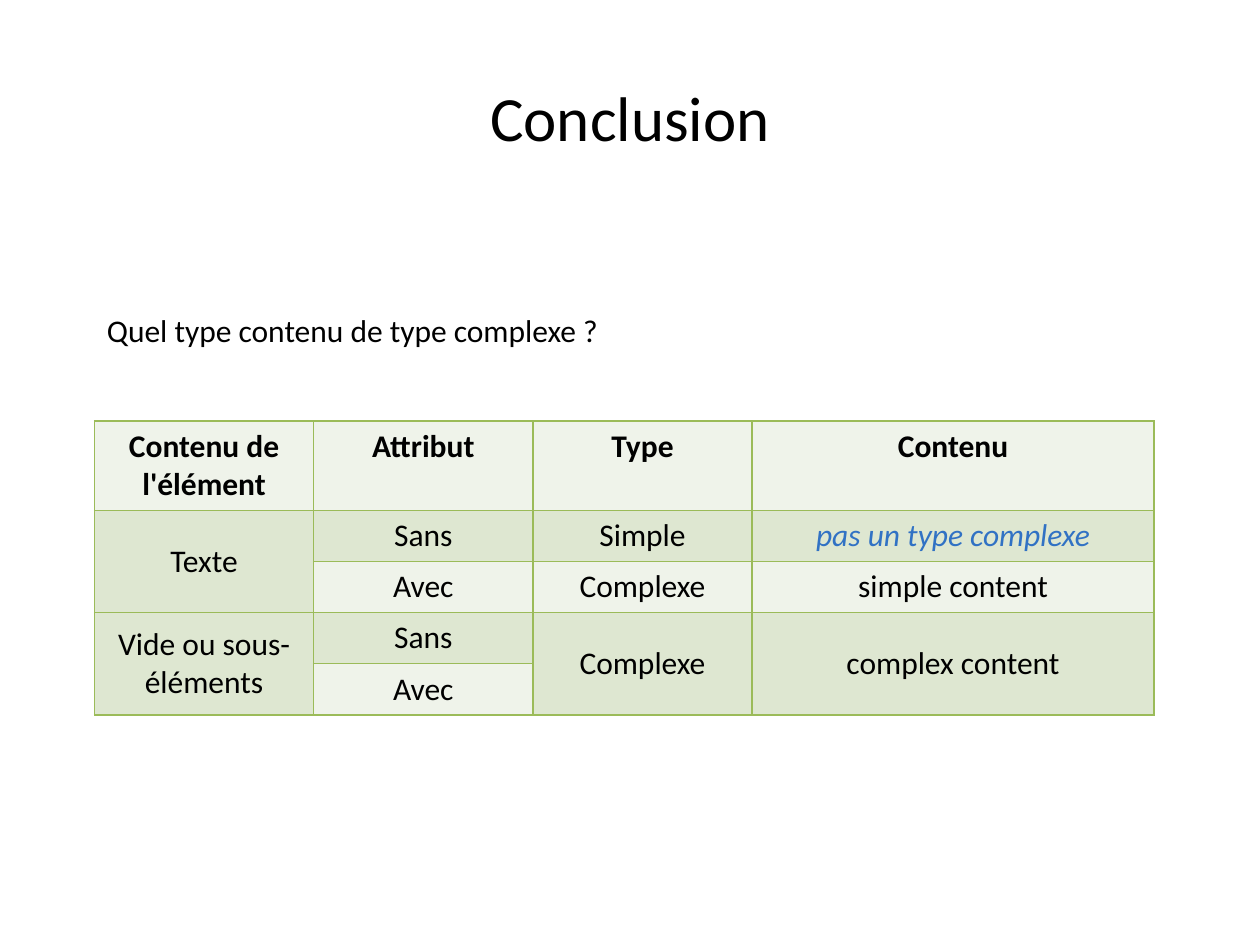
"""Build the conclusion slide with its table of complex type contents."""
import pptx
import pptx.dml.color
import pptx.enum.text
import pptx.oxml
import pptx.oxml.ns
import pptx.util

COLORS = {"text": "000000", "accent": "3172C4", "border": "9BBB59",
          "light": "EFF3EA", "dark": "DEE7D1"}
ALIGN = pptx.enum.text.PP_ALIGN
ANCHOR = pptx.enum.text.MSO_ANCHOR


def write(frame, text, size=18, color="text", bold=False, italic=False,
          align=ALIGN.CENTER, anchor=ANCHOR.MIDDLE):
    frame.vertical_anchor = anchor
    para = frame.paragraphs[0]
    para.alignment = align
    span = para.add_run()
    span.text = text
    span.font.name = "Calibri"
    span.font.size = pptx.util.Pt(size)
    span.font.bold = bold
    span.font.italic = italic
    span.font.color.rgb = pptx.dml.color.RGBColor.from_string(COLORS[color])


def add_borders(cell, width=1):
    properties = cell._tc.get_or_add_tcPr()
    for position, side in enumerate(("lnL", "lnR", "lnT", "lnB")):
        line = pptx.oxml.parse_xml(
            f'<a:{side} {pptx.oxml.ns.nsdecls("a")} w="{pptx.util.Pt(width)}">'
            f'<a:solidFill><a:srgbClr val="{COLORS["border"]}"/></a:solidFill></a:{side}>')
        properties.insert(position, line)


deck = pptx.Presentation()
deck.slide_width = pptx.util.Inches(10)
deck.slide_height = pptx.util.Inches(7.5)
WIDTH, HEIGHT = deck.slide_width, deck.slide_height
LEFT = int(WIDTH * 0.075)
page = deck.slides.add_slide(deck.slide_layouts[5])

title = page.shapes.title
title.left, title.top = int(WIDTH * 0.05), int(HEIGHT * 0.04)
title.width, title.height = int(WIDTH * 0.9), pptx.util.Inches(1.25)
write(title.text_frame, "Conclusion", size=36)

ROWS = [
    ["Contenu de l'élément", "Attribut", "Type", "Contenu"],
    ["Texte", "Sans", "Simple", "pas un type complexe"],
    [None, "Avec", "Complexe", "simple content"],
    ["Vide ou sous-éléments", "Sans", "Complexe", "complex content"],
    [None, "Avec", None, None],
]
COLUMN_WIDTHS = [1.74, 1.74, 1.74, 3.19]
ROW_HEIGHTS = [0.71] + [0.4] * 4

holder = page.shapes.add_table(
    len(ROWS), len(COLUMN_WIDTHS), LEFT, pptx.util.Inches(3.34),
    pptx.util.Inches(sum(COLUMN_WIDTHS)), pptx.util.Inches(sum(ROW_HEIGHTS)))
table = holder.table
for column, width in zip(table.columns, COLUMN_WIDTHS):
    column.width = pptx.util.Inches(width)
for row, height in zip(table.rows, ROW_HEIGHTS):
    row.height = pptx.util.Inches(height)

for row_index, texts in enumerate(ROWS):
    header = row_index == 0
    band = "dark" if row_index % 2 else "light"
    for column_index, text in enumerate(texts):
        cell = table.cell(row_index, column_index)
        cell.fill.solid()
        cell.fill.fore_color.rgb = pptx.dml.color.RGBColor.from_string(COLORS[band])
        add_borders(cell)
        if text is None:
            table.cell(row_index - 1, column_index).merge(cell)
            continue
        exception = text == "pas un type complexe"
        write(cell.text_frame, text, bold=header, italic=exception,
              color="accent" if exception else "text")
        cell.vertical_anchor = ANCHOR.TOP if header else ANCHOR.MIDDLE

question = page.shapes.add_textbox(
    LEFT, pptx.util.Inches(2.42), int(WIDTH * 0.44), pptx.util.Inches(0.4))
question.text_frame.word_wrap = False
question.text_frame.auto_size = pptx.enum.text.MSO_AUTO_SIZE.SHAPE_TO_FIT_TEXT
write(question.text_frame, "Quel type contenu de type complexe ?",
      align=ALIGN.LEFT, anchor=ANCHOR.TOP)

deck.save("out.pptx")
